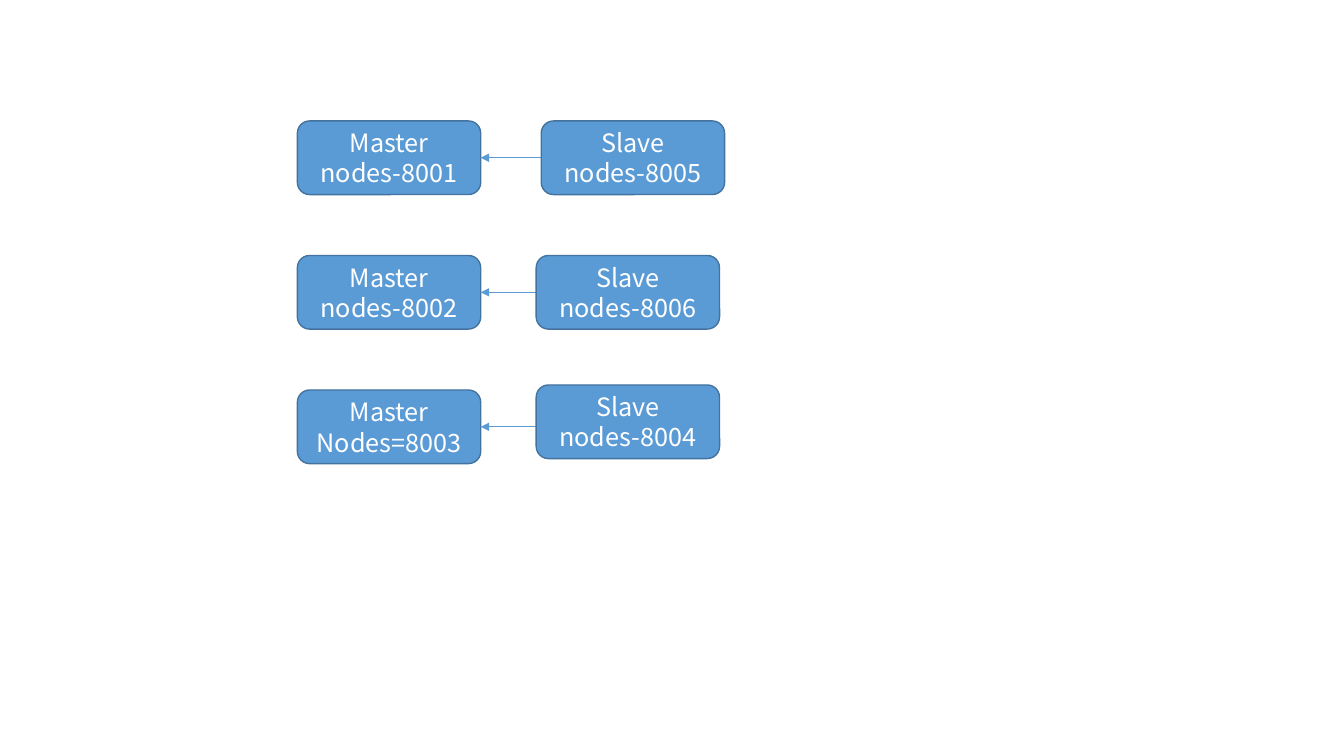
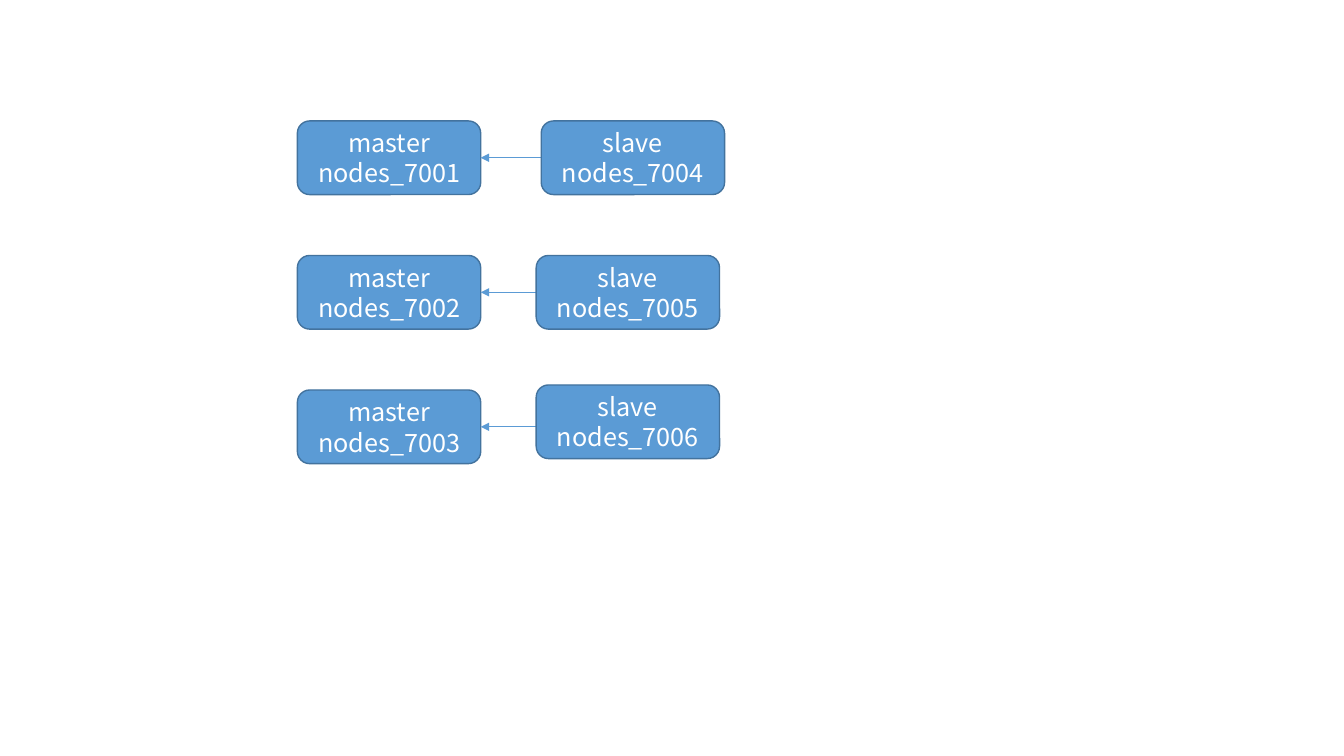
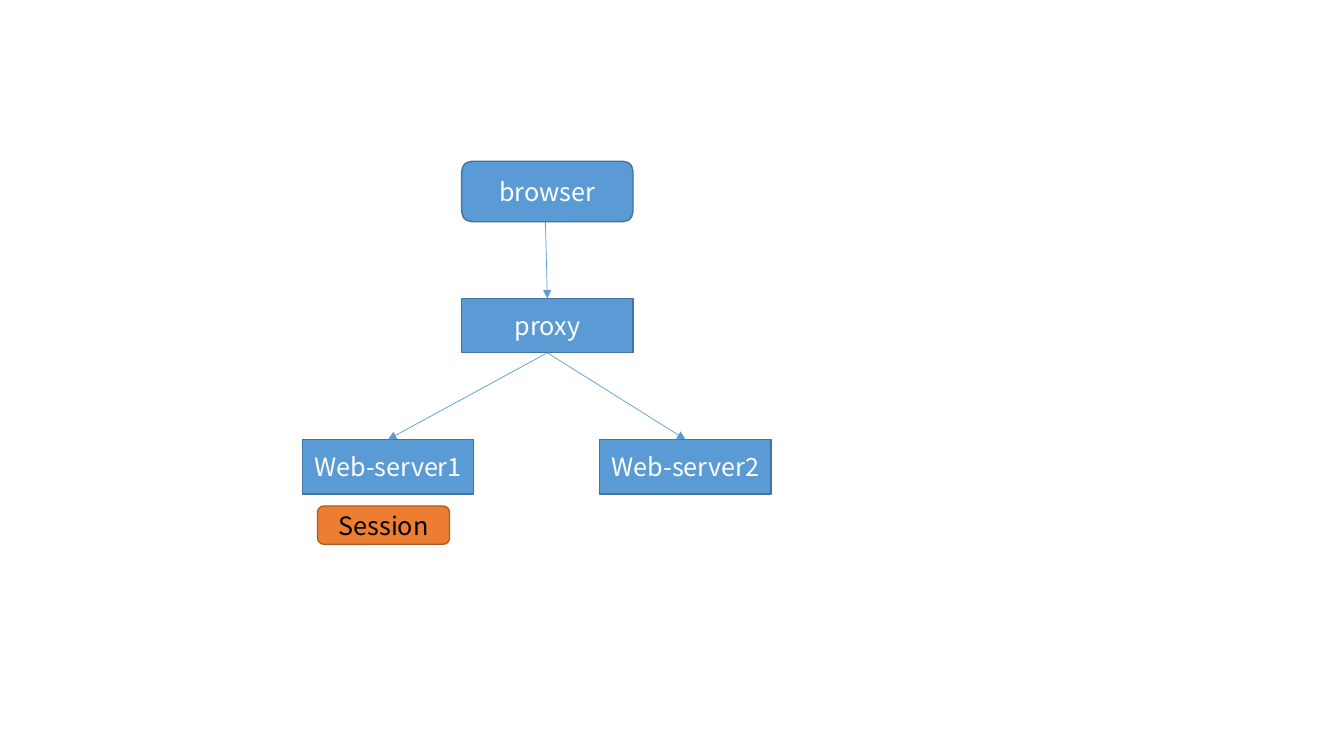
from lxml import etree
from pptx import Presentation
from pptx.dml.color import RGBColor
from pptx.enum.shapes import MSO_CONNECTOR, MSO_SHAPE
from pptx.enum.text import MSO_ANCHOR, PP_ALIGN
from pptx.oxml.ns import qn
from pptx.util import Pt

STRAIGHT = MSO_CONNECTOR.STRAIGHT
ROUNDED = MSO_SHAPE.ROUNDED_RECTANGLE
RECTANGLE = MSO_SHAPE.RECTANGLE
MIDDLE = MSO_ANCHOR.MIDDLE
CENTER = PP_ALIGN.CENTER

FONT = "Noto Sans CJK SC"
TEXT_SIZE = 18
BLUE = ("5B9BD5", "43739E", "FFFFFF")
ORANGE = ("ED7D31", "AF5C24", "000000")
ARROW_COLOR = "5B9BD5"

NODE_WIDTH, NODE_HEIGHT = 131, 52.6
ROW_PITCH = 96.1
ARROW_LENGTH = 43.2
SLAVE_OFFSETS = [(174.2, 0), (170.6, 0), (170.6, -3.6)]
SERVER_WIDTH, SERVER_HEIGHT = 122.4, 38.9

DATA_CLUSTERS = [
    [(("Master", "nodes-8001"), ("Slave", "nodes-8005")),
     (("Master", "nodes-8002"), ("Slave", "nodes-8006")),
     (("Master", "Nodes=8003"), ("Slave", "nodes-8004"))],
    [(("master", "nodes_7001"), ("slave", "nodes_7004")),
     (("master", "nodes_7002"), ("slave", "nodes_7005")),
     (("master", "nodes_7003"), ("slave", "nodes_7006"))],
]


def color(hex_text):
    """Turn a hex string into a colour."""
    return RGBColor.from_string(hex_text)


def add_node(page, kind, left, top, width, height, lines, style=BLUE):
    """Add a filled box with one centred paragraph per line."""
    fill, outline, ink = style
    box = page.shapes.add_shape(kind, Pt(left), Pt(top), Pt(width), Pt(height))
    box.shadow.inherit = False
    box.fill.solid()
    box.fill.fore_color.rgb = color(fill)
    box.line.color.rgb = color(outline)
    box.line.width = Pt(1)
    frame = box.text_frame
    frame.word_wrap = True
    frame.vertical_anchor = MIDDLE
    for index, line in enumerate(lines):
        para = frame.add_paragraph() if index else frame.paragraphs[0]
        para.alignment = CENTER
        span = para.add_run()
        span.text = line
        span.font.name = FONT
        span.font.size = Pt(TEXT_SIZE)
        span.font.color.rgb = color(ink)


def add_arrow(page, start, end):
    """Add a thin arrow that points at its end."""
    arrow = page.shapes.add_connector(STRAIGHT, *map(Pt, start + end))
    arrow.line.color.rgb = color(ARROW_COLOR)
    arrow.line.width = Pt(0.5)
    etree.SubElement(arrow.line._get_or_add_ln(), qn("a:tailEnd"), type="triangle")
    etree.SubElement(arrow._element.spPr, qn("a:effectLst"))


def add_cluster(page, left, top, pairs):
    """Add rows of master nodes, each with the slave that follows it."""
    for row, ((master, slave), (across, down)) in enumerate(zip(pairs, SLAVE_OFFSETS)):
        row_top = top + row * ROW_PITCH
        right = left + NODE_WIDTH
        middle = row_top + NODE_HEIGHT / 2
        add_node(page, ROUNDED, left, row_top, NODE_WIDTH, NODE_HEIGHT, master)
        add_arrow(page, (right + ARROW_LENGTH, middle), (right, middle))
        add_node(page, ROUNDED, left + across, row_top + down,
                 NODE_WIDTH, NODE_HEIGHT, slave)


def add_web_tier(page, left, top):
    """Add a browser, its proxy, two web servers and a session."""
    hub_left, browser_height = left + 113.8, 43.2
    hub_center = hub_left + SERVER_WIDTH / 2
    proxy_top, server_top = top + 97.9, top + 198.7
    add_arrow(page, (hub_center - 1.4, top + browser_height), (hub_center, proxy_top))
    add_node(page, ROUNDED, hub_left, top, SERVER_WIDTH, browser_height, ["browser"])
    add_node(page, RECTANGLE, hub_left, proxy_top, SERVER_WIDTH, SERVER_HEIGHT, ["proxy"])
    for name, server_left in (("Web-server1", left), ("Web-server2", left + 212.4)):
        add_node(page, RECTANGLE, server_left, server_top,
                 SERVER_WIDTH, SERVER_HEIGHT, [name])
        add_arrow(page, (hub_center, proxy_top + SERVER_HEIGHT),
                  (server_left + SERVER_WIDTH / 2, server_top))
    add_node(page, ROUNDED, left + 10.8, top + 246.2, 94.3, 27.4, ["Session"], ORANGE)


def main():
    """Build and save the deck."""
    deck = Presentation()
    deck.slide_width, deck.slide_height = Pt(960), Pt(540)
    blank = deck.slide_layouts[6]
    for pairs in DATA_CLUSTERS:
        add_cluster(deck.slides.add_slide(blank), 212.4, 86.4, pairs)
    add_web_tier(deck.slides.add_slide(blank), 216, 115.2)
    deck.save("out.pptx")


if __name__ == "__main__":
    main()
